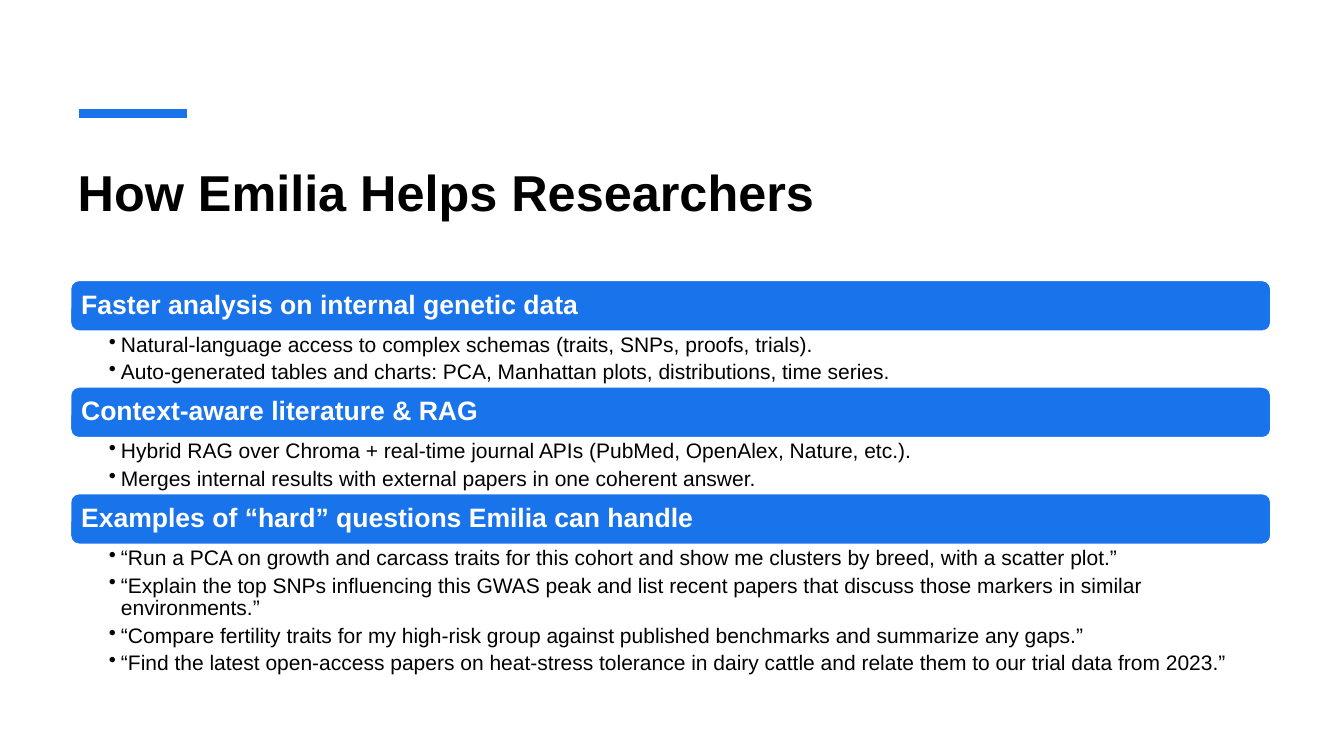
import lxml.etree
import pptx
import pptx.dml.color
import pptx.enum.shapes
import pptx.enum.text
import pptx.oxml.ns
import pptx.util

BLUE, BLACK, WHITE = "1973EB", "000000", "FFFFFF"
LEFT, WIDTH = 5.25, 89.3
HEADER_ROWS = 6.7
SECTIONS = [
    ("Faster analysis on internal genetic data", 7.4, [
        "Natural‑language access to complex schemas (traits, SNPs, proofs, trials).",
        "Auto‑generated tables and charts: PCA, Manhattan plots, distributions, time series.",
    ]),
    ("Context‑aware literature & RAG", 7.4, [
        "Hybrid RAG over Chroma + real‑time journal APIs (PubMed, OpenAlex, Nature, etc.).",
        "Merges internal results with external papers in one coherent answer.",
    ]),
    ("Examples of “hard” questions Emilia can handle", 17.7, [
        "“Run a PCA on growth and carcass traits for this cohort and show me clusters by breed, "
        "with a scatter plot.”",
        "“Explain the top SNPs influencing this GWAS peak and list recent papers that discuss "
        "those markers in similar environments.”",
        "“Compare fertility traits for my high‑risk group against published benchmarks and "
        "summarize any gaps.”",
        "“Find the latest open‑access papers on heat‑stress tolerance in dairy cattle and relate "
        "them to our trial data from 2023.”",
    ]),
]


def color(value):
    """Turn a hex string into a colour."""
    return pptx.dml.color.RGBColor.from_string(value)


class SlideBuilder:
    """Draw styled elements on a grid of 100 columns by 100 rows."""

    font = "Arial"

    def __init__(self, deck):
        """Add a blank page to the deck."""
        self.page = deck.slides.add_slide(deck.slide_layouts[6])
        self.column = deck.slide_width / 100
        self.row = deck.slide_height / 100

    def place(self, left, top, width, height):
        """Convert grid units to slide lengths."""
        return (round(left * self.column), round(top * self.row),
                round(width * self.column), round(height * self.row))

    def frame(self, box, insets, anchor):
        """Set wrapping, insets and anchor of a box."""
        frame = box.text_frame
        frame.word_wrap = True
        frame.vertical_anchor = anchor
        frame.margin_left, frame.margin_top, frame.margin_right, frame.margin_bottom = (
            pptx.util.Inches(inset) for inset in insets)
        return frame

    def style(self, para, size, ink, bold=False):
        """Format the runs of a paragraph."""
        para.alignment = pptx.enum.text.PP_ALIGN.LEFT
        for span in para.runs:
            span.font.name = self.font
            span.font.size = pptx.util.Pt(size)
            span.font.bold = bold
            span.font.color.rgb = color(ink)

    def accent(self, left, right, top):
        """Draw the thick rule above the title."""
        start_x, y, end_x, _ = self.place(left, top, right, 0)
        rule = self.page.shapes.add_connector(
            pptx.enum.shapes.MSO_CONNECTOR.STRAIGHT, start_x, y, end_x, y)
        rule.line.color.rgb = color(BLUE)
        rule.line.width = pptx.util.Pt(6)
        lxml.etree.SubElement(rule._element.spPr, pptx.oxml.ns.qn("a:effectLst"))

    def title(self, text, top, height):
        """Write the slide title."""
        box = self.page.shapes.add_textbox(*self.place(LEFT, top, WIDTH, height))
        frame = self.frame(box, (0.07, 0.1, 0.07, 0.1), pptx.enum.text.MSO_ANCHOR.TOP)
        frame.text = text
        self.style(frame.paragraphs[0], 36, BLACK, True)

    def header(self, text, top):
        """Draw a rounded section header."""
        bar = self.page.shapes.add_shape(
            pptx.enum.shapes.MSO_SHAPE.ROUNDED_RECTANGLE,
            *self.place(LEFT, top, WIDTH, HEADER_ROWS))
        bar.shadow.inherit = False
        bar.fill.solid()
        bar.fill.fore_color.rgb = color(BLUE)
        bar.line.color.rgb = color(WHITE)
        bar.line.width = pptx.util.Pt(1)
        frame = self.frame(bar, (0.08, 0.08, 0.08, 0.08), pptx.enum.text.MSO_ANCHOR.MIDDLE)
        frame.text = text
        frame.paragraphs[0].line_spacing = 0.9
        self.style(frame.paragraphs[0], 19, WHITE, True)

    def bullets(self, points, top, height):
        """Write a bulleted list under a header."""
        box = self.page.shapes.add_textbox(*self.place(LEFT, top, WIDTH, height))
        frame = self.frame(box, (0.38, 0.03, 0.15, 0.03), pptx.enum.text.MSO_ANCHOR.TOP)
        frame.text = "\n".join(points)
        indent = pptx.util.Inches(0.12)
        for para in frame.paragraphs:
            properties = para._p.get_or_add_pPr()
            properties.set("marL", str(indent))
            properties.set("indent", str(-indent))
            lxml.etree.SubElement(properties, pptx.oxml.ns.qn("a:buChar"), char="•")
            para.line_spacing = 0.9
            para.space_after = pptx.util.Pt(3.5)
            self.style(para, 15, BLACK)


def main():
    """Build and save the slide."""
    deck = pptx.Presentation()
    deck.slide_width = pptx.util.Inches(13.33)
    deck.slide_height = pptx.util.Inches(7.5)
    builder = SlideBuilder(deck)
    builder.accent(5.88, 13.9, 15)
    builder.title("How Emilia Helps Researchers", 20, 16)
    top = 37.1
    for heading, height, points in SECTIONS:
        builder.header(heading, top)
        builder.bullets(points, top + HEADER_ROWS, height)
        top += HEADER_ROWS + height
    deck.save("out.pptx")


if __name__ == "__main__":
    main()
